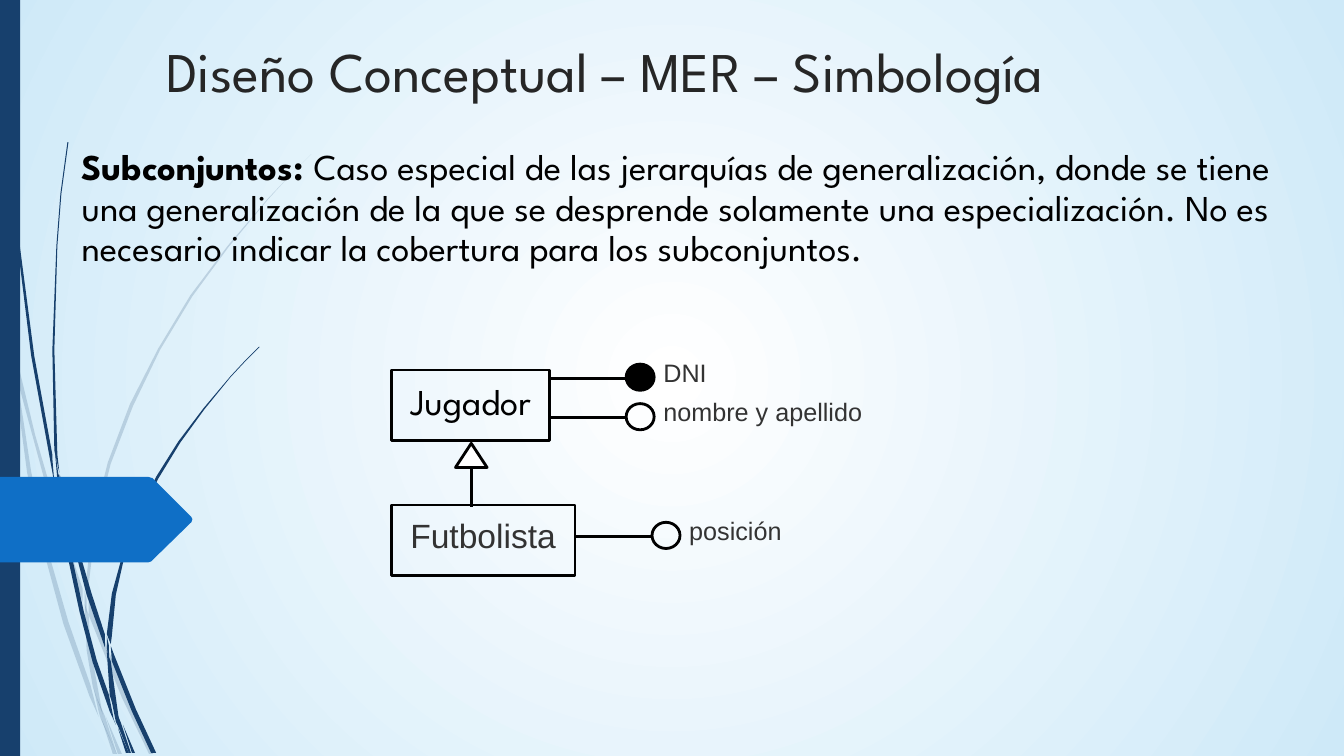
import dataclasses

import pptx
import pptx.dml.color
import pptx.enum.shapes
import pptx.enum.text
import pptx.oxml
import pptx.oxml.ns
import pptx.util

Pt = pptx.util.Pt
RGB = pptx.dml.color.RGBColor.from_string
SHAPE = pptx.enum.shapes.MSO_SHAPE
ANCHOR = pptx.enum.text.MSO_ANCHOR
NS = 'xmlns:a="http://schemas.openxmlformats.org/drawingml/2006/main"'


@dataclasses.dataclass(frozen=True)
class Theme:
    navy: str = "17406D"
    blue: str = "0F6FC6"
    sky: str = "CEE9F8"
    white: str = "FFFFFF"
    black: str = "000000"
    heading: str = "262626"
    label: str = "333333"
    display: str = "League Spartan"
    plain: str = "Arial"
    title_size: float = 40
    body_size: float = 26
    entity_size: float = 24
    attribute_size: float = 18
    stroke: float = 2


THEME = Theme()
WIDTH, HEIGHT = 960.48, 540
GRASS_UNIT = 0.72

PALE_BLADES = [
    [(8, 347), (6, 320), (0, 282), (0, 299), (8, 342)],
    [(56, 520), (82, 597), (82, 584), (60, 518), (35, 432), (14, 345), (17, 376)],
    [(92, 607), (88, 596), (88, 610), (121, 692), (148, 748), (152, 748), (126, 690)],
    [(117, 748), (121, 748), (105, 711)],
    [(90, 680), (68, 617), (47, 544), (31, 468), (17, 376), (11, 350), (27, 469), (43, 545),
     (63, 619), (89, 691), (98, 711), (96, 704)],
    [(84, 599), (86, 645), (92, 681), (95, 690), (102, 709), (101, 704), (90, 644), (88, 610)],
    [(88, 581), (95, 520), (110, 460), (132, 403), (159, 347), (191, 294), (227, 245),
     (266, 198), (287, 175), (309, 153), (287, 175), (266, 197), (226, 244), (189, 293),
     (157, 346), (129, 401), (107, 459), (92, 519), (85, 581), (85, 584), (88, 593)],
    [(101, 714), (112, 748), (116, 748)],
    [(85, 606), (86, 608), (86, 595), (84, 586), (84, 598)],
    [(96, 692), (93, 683), (98, 706), (100, 713), (116, 748), (104, 710)],
]
DARK_BLADES = [
    [(6, 109), (16, 232), (31, 353), (53, 474), (54, 479), (52, 455), (52, 451), (34, 353),
     (18, 231), (7, 109), (4, 48), (3, 0), (3, 48)],
    [(86, 590), (104, 642), (104, 629), (91, 589), (74, 531), (60, 472), (64, 505)],
    [(113, 649), (110, 641), (111, 656), (131, 706), (150, 747), (155, 747), (135, 704)],
    [(108, 689), (96, 655), (83, 606), (72, 555), (64, 505), (57, 477), (68, 556), (79, 607),
     (92, 657), (109, 706), (115, 719), (113, 714)],
    [(59, 469), (57, 451), (54, 347), (57, 244), (61, 192), (68, 141), (67, 141), (60, 192),
     (56, 244), (52, 347), (54, 447)],
    [(131, 747), (134, 747), (122, 719)],
    [(57, 476), (61, 502), (59, 471), (58, 471), (55, 449), (55, 453)],
    [(111, 631), (115, 590), (124, 550), (139, 512), (157, 475), (179, 439), (203, 406),
     (229, 374), (243, 359), (258, 344), (257, 344), (243, 358), (229, 373), (202, 405),
     (177, 438), (155, 473), (136, 511), (122, 549), (111, 589), (106, 629), (110, 639)],
    [(117, 722), (125, 747), (128, 747)],
    [(106, 645), (109, 690), (114, 704), (119, 716), (118, 713), (110, 656), (108, 651)],
    [(106, 643), (107, 648), (108, 653), (108, 640), (106, 631), (106, 633)],
    [(115, 705), (110, 691), (115, 716), (117, 720), (128, 747), (130, 747), (120, 717)],
]
PAGE_ARROW = [(147, 558), (150, 557), (151, 556), (190, 518), (191, 515), (190, 513),
              (151, 474), (150, 474), (147, 473), (0, 473), (0, 558)]


def apply(target, values):
    for name, value in values.items():
        setattr(target, name, value)


def place(shape, left, top, width, height):
    apply(shape, {"left": Pt(left), "top": Pt(top), "width": Pt(width), "height": Pt(height)})


def paint(shape, fill=None, outlined=False):
    shape.shadow.inherit = False
    if fill:
        shape.fill.solid()
        shape.fill.fore_color.rgb = RGB(fill)
    else:
        shape.fill.background()
    if outlined:
        shape.line.color.rgb = RGB(THEME.black)
        shape.line.width = Pt(THEME.stroke)
    else:
        shape.line.fill.background()


def write(shape, runs, font, size, color, insets=(7.2, 3.6, 7.2, 3.6),
          anchor=ANCHOR.TOP, spacing=0.93):
    sides = ("margin_left", "margin_top", "margin_right", "margin_bottom")
    frame = shape.text_frame
    apply(frame, {"word_wrap": True, "auto_size": pptx.enum.text.MSO_AUTO_SIZE.NONE,
                  "vertical_anchor": anchor, **dict(zip(sides, map(Pt, insets)))})
    paragraph = frame.paragraphs[0]
    apply(paragraph, {"alignment": pptx.enum.text.PP_ALIGN.LEFT, "line_spacing": spacing,
                      "space_before": Pt(0), "space_after": Pt(0)})
    for text, bold in runs:
        run = paragraph.add_run()
        run.text = text
        apply(run.font, {"name": font, "size": Pt(size), "bold": bold})
        run.font.color.rgb = RGB(color)


def draw_line(slide, x1, y1, x2, y2):
    link = slide.shapes.add_connector(
        pptx.enum.shapes.MSO_CONNECTOR.STRAIGHT, *map(Pt, (x1, y1, x2, y2)))
    link.line.color.rgb = RGB(THEME.black)
    link.line.width = Pt(THEME.stroke)
    link.element.spPr.append(pptx.oxml.parse_xml(f"<a:effectLst {NS}/>"))


def add_figure(slide, kind, box, fill=None, outlined=True):
    figure = slide.shapes.add_shape(kind, *map(Pt, box))
    paint(figure, fill, outlined)
    return figure


def add_outline(slide, left, top, points, fill, opacity=100):
    builder = slide.shapes.build_freeform(*points[0], scale=Pt(GRASS_UNIT))
    builder.add_line_segments(points[1:], close=True)
    outline = builder.convert_to_shape(Pt(left), Pt(top))
    paint(outline, fill)
    if opacity < 100:
        color = outline.element.spPr.find(".//" + pptx.oxml.ns.qn("a:srgbClr"))
        color.append(pptx.oxml.parse_xml(f'<a:alpha {NS} val="{opacity * 1000}"/>'))


def add_backdrop(slide, left, top, height):
    sky = slide.background.fill
    sky.gradient()
    for stop, color in zip(sky.gradient_stops, (THEME.white, THEME.sky)):
        stop.color.rgb = RGB(color)
    linear = slide.element.find(".//" + pptx.oxml.ns.qn("a:lin"))
    linear.getparent().replace(linear, pptx.oxml.parse_xml(
        f'<a:path {NS} path="circle"><a:fillToRect l="50000" t="50000" r="50000" b="50000"/></a:path>'))
    for blades, opacity in ((PALE_BLADES, 18), (DARK_BLADES, 100)):
        for blade in blades:
            add_outline(slide, left, top, blade, THEME.navy, opacity)
    add_figure(slide, SHAPE.RECTANGLE, (left, top, 14.4, height), THEME.navy, False)
    add_outline(slide, left, top, PAGE_ARROW, THEME.blue)


def add_heading(slide, left, top, width, height):
    title = slide.shapes.title
    slide.shapes.element.append(title.element)
    place(title, left, top, width, height)
    write(title, [("Diseño Conceptual – MER – Simbología", False)], THEME.display,
          THEME.title_size, THEME.heading, (0, 0.72, 0, 0), ANCHOR.MIDDLE, 0.98)


def add_definition(slide, left, top, width, height):
    definition = slide.placeholders[1]
    slide.shapes.element.append(definition.element)
    place(definition, left, top, width, height)
    write(definition, [
        ("Subconjuntos: ", True),
        ("Caso especial de las jerarquías de generalización, donde se tiene una generalización "
         "de la que se desprende solamente una especialización. No es necesario indicar la "
         "cobertura para los subconjuntos.", False),
    ], THEME.display, THEME.body_size, THEME.black)
    properties = definition.text_frame.paragraphs[0]._p.get_or_add_pPr()
    properties.set("marL", "0")
    properties.set("indent", "0")
    properties.append(pptx.oxml.parse_xml(f"<a:buNone {NS}/>"))


def add_attribute(slide, left, y, name, key=False):
    circle = left + 55
    draw_line(slide, left, y, circle, y)
    add_figure(slide, SHAPE.OVAL, (circle, y - 10, 20, 18.7), THEME.black if key else None)
    label = slide.shapes.add_textbox(*map(Pt, (circle + 19.5, y - 16.8, 158, 28.8)))
    write(label, [(name, False)], THEME.plain, THEME.attribute_size, THEME.label)


def add_entity(slide, left, top, width, height, name, style, attributes):
    entity = add_figure(slide, SHAPE.RECTANGLE, (left, top, width, height))
    write(entity, [(name, False)], *style, insets=(13.2, 9.4, 0, 0))
    for offset, attribute, key in attributes:
        add_attribute(slide, left + width, top + offset, attribute, key)


def add_subset_diagram(slide, left, top):
    child_top, axis = top + 96.5, left + 56.8
    add_entity(slide, left, top, 112.5, 50.4, "Jugador",
               (THEME.display, THEME.body_size, THEME.black),
               [(5.8, "DNI", True), (34, "nombre y apellido", False)])
    add_entity(slide, left, child_top, 131, 50.4, "Futbolista",
               (THEME.plain, THEME.entity_size, THEME.label), [(22.3, "posición", False)])
    draw_line(slide, axis, child_top + 1, axis, top + 69)
    add_figure(slide, SHAPE.ISOSCELES_TRIANGLE, (axis - 11.3, top + 52.4, 22.6, 17.2), THEME.white)


def main():
    deck = pptx.Presentation()
    apply(deck, {"slide_width": Pt(WIDTH), "slide_height": Pt(HEIGHT)})
    slide = deck.slides.add_slide(deck.slide_layouts[1])
    add_backdrop(slide, 0, 0, HEIGHT)
    add_definition(slide, 51.1, 102.2, 873.4, 67.7)
    add_subset_diagram(slide, 280, 264.3)
    add_heading(slide, 118.8, 1.4, 822.2, 100.8)
    deck.save("out.pptx")


if __name__ == "__main__":
    main()
